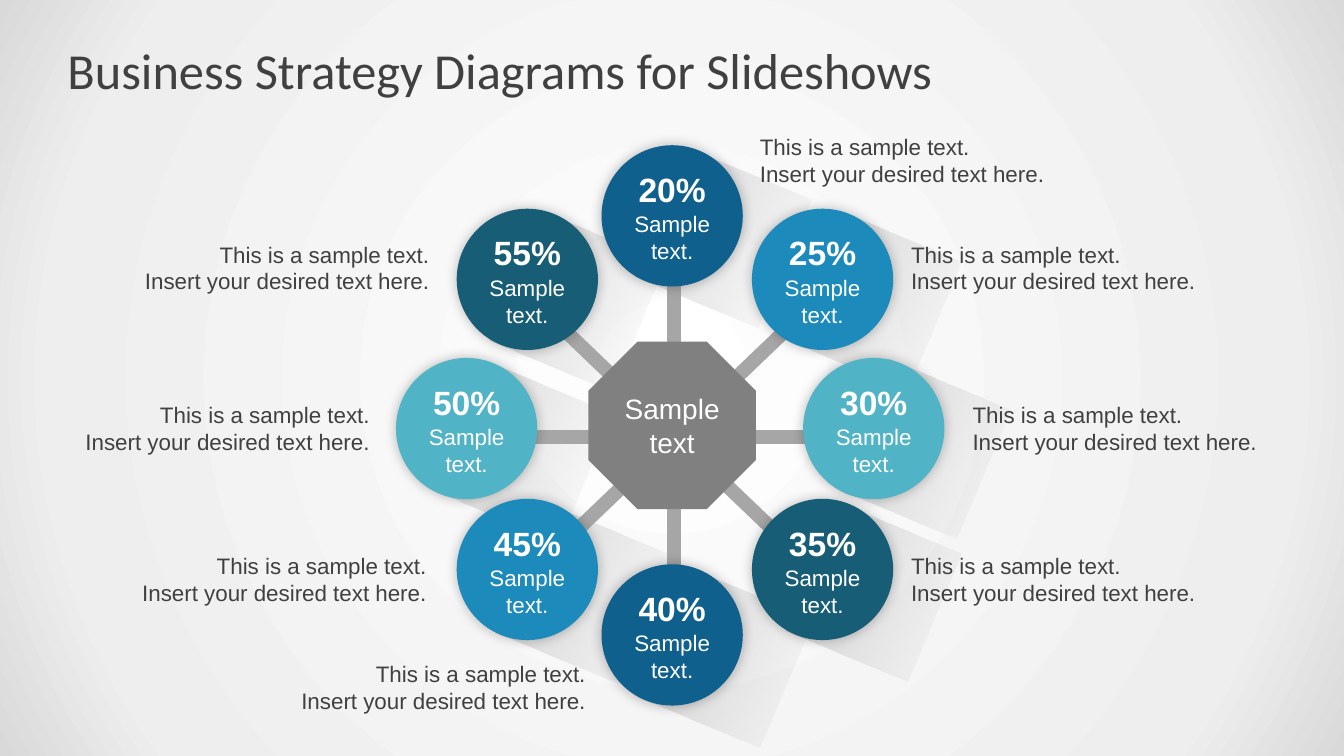
from dataclasses import dataclass

from pptx import Presentation
from pptx.dml.color import RGBColor
from pptx.enum.shapes import MSO_CONNECTOR, MSO_SHAPE
from pptx.enum.text import MSO_ANCHOR, MSO_AUTO_SIZE, PP_ALIGN
from pptx.oxml import parse_xml
from pptx.oxml.ns import nsdecls
from pptx.util import Cm, Pt

CIRCLE_SIZE = 3.56
NAVY, BLUE, AQUA, TEAL = "0F608D", "1C8ABA", "51B3C6", "175D76"
WHITE, DARK, SPOKE_GREY, HUB_GREY = "FFFFFF", "404040", "A6A6A6", "808080"


@dataclass
class Segment:
    percent: str
    color: str
    circle: tuple
    shade: tuple
    caption: tuple
    align: PP_ALIGN = PP_ALIGN.LEFT


# Clockwise from the top; positions are (left, top) in centimetres
SEGMENTS = [
    Segment("20%", NAVY, (15.16, 3.66), (16.56, 4.24), (18.9, 3.23)),
    Segment("25%", BLUE, (18.95, 5.26), (20.35, 5.82), (22.71, 5.94)),
    Segment("30%", AQUA, (20.24, 9.02), (21.59, 9.55), (24.26, 9.98)),
    Segment("35%", TEAL, (18.95, 12.57), (20.35, 13.16), (22.71, 13.79)),
    Segment("40%", NAVY, (15.16, 14.22), (16.61, 14.83), (7.01, 16.51), PP_ALIGN.RIGHT),
    Segment("45%", BLUE, (11.51, 12.57), (13.06, 13.21), (3.0, 13.79), PP_ALIGN.RIGHT),
    Segment("50%", AQUA, (9.98, 9.02), (11.56, 9.65), (1.57, 9.98), PP_ALIGN.RIGHT),
    Segment("55%", TEAL, (11.51, 5.26), (12.88, 5.84), (3.07, 5.94), PP_ALIGN.RIGHT),
]

SPOKES = [
    (14.1, 8.2, 19.94, 13.79),
    (20.22, 7.92, 14.38, 13.51),
    (16.99, 6.43, 16.99, 15.06),
    (12.83, 11.0, 21.46, 11.0),
]


def rgb(value):
    return RGBColor.from_string(value)


def write_text(frame, text, size=16, color=DARK, font="Arial", bold=False,
               align=PP_ALIGN.LEFT, anchor=MSO_ANCHOR.TOP, fit=MSO_AUTO_SIZE.NONE):
    """Fill a text frame, one paragraph for each line."""
    frame.word_wrap = True
    frame.auto_size = fit
    frame.vertical_anchor = anchor
    frame.text = text
    for paragraph in frame.paragraphs:
        paragraph.alignment = align
        for run in paragraph.runs:
            run.font.name = font
            run.font.size = Pt(size)
            run.font.bold = bold
            run.font.color.rgb = rgb(color)


def set_gradient(properties, stops, shading):
    """Swap the solid fill for a gradient; stops are (position, colour, opacity)."""
    stop_list = "".join(
        f'<a:gs pos="{position * 1000}"><a:srgbClr val="{color}">'
        f'<a:alpha val="{opacity * 1000}"/></a:srgbClr></a:gs>'
        for position, color, opacity in stops)
    gradient = parse_xml(f'<a:gradFill {nsdecls("a")} rotWithShape="1">'
                         f'<a:gsLst>{stop_list}</a:gsLst>{shading}</a:gradFill>')
    solid = properties.xpath("./a:solidFill")[0]
    properties.replace(solid, gradient)


class Deck:
    """Holds the presentation, the current slide and the drawing style."""

    def __init__(self):
        self.presentation = Presentation()
        self.presentation.slide_width = Cm(33.87)
        self.presentation.slide_height = Cm(19.05)
        self.slide = self.presentation.slides.add_slide(self.presentation.slide_layouts[5])

    def background(self):
        self.slide.background.fill.solid()
        properties = self.slide.element.xpath("./p:cSld/p:bg/p:bgPr")[0]
        set_gradient(properties,
                     [(0, "FFFFFF", 100), (81, "EEEEEE", 100), (100, "D9D9D9", 100)],
                     '<a:path path="circle"><a:fillToRect l="50000" t="50000" '
                     'r="50000" b="50000"/></a:path>')

    def title(self, text):
        title = self.slide.shapes.title
        title.left, title.top, title.width, title.height = Cm(1.7), Cm(0.76), Cm(30.48), Cm(1.98)
        title.text_frame.margin_left = title.text_frame.margin_right = 0
        write_text(title.text_frame, text, size=36, font="Calibri", anchor=MSO_ANCHOR.MIDDLE)

    def shape(self, kind, left, top, width, height, color):
        shape = self.slide.shapes.add_shape(kind, Cm(left), Cm(top), Cm(width), Cm(height))
        shape.shadow.inherit = False
        shape.fill.solid()
        shape.fill.fore_color.rgb = rgb(color)
        shape.line.fill.background()
        return shape

    def shade(self, left, top):
        shape = self.shape(MSO_SHAPE.RECTANGLE, left, top, 3.33, 3.51, "000000")
        shape.rotation = 22.8
        set_gradient(shape.element.spPr, [(0, "000000", 0), (100, "000000", 16)],
                     '<a:lin ang="10800000" scaled="0"/>')

    def spoke(self, *ends):
        line = self.slide.shapes.add_connector(MSO_CONNECTOR.STRAIGHT, *map(Cm, ends))
        line.line.color.rgb = rgb(SPOKE_GREY)
        line.line.width = Pt(10)
        line.element.spPr.append(parse_xml(f'<a:effectLst {nsdecls("a")}/>'))

    def circle(self, left, top, color):
        shape = self.shape(MSO_SHAPE.OVAL, left, top, CIRCLE_SIZE, CIRCLE_SIZE, color)
        effects = shape.element.spPr.xpath("./a:effectLst")[0]
        effects.append(parse_xml(
            f'<a:outerShdw {nsdecls("a")} blurRad="{Pt(9)}" dist="0" dir="0" algn="ctr" '
            'rotWithShape="0"><a:srgbClr val="000000"><a:alpha val="28000"/></a:srgbClr>'
            '</a:outerShdw>'))

    def hub(self, text):
        shape = self.shape(MSO_SHAPE.OCTAGON, 14.83, 8.61, 4.22, 4.22, HUB_GREY)
        write_text(shape.text_frame, text, size=20, color=WHITE,
                   align=PP_ALIGN.CENTER, anchor=MSO_ANCHOR.MIDDLE)

    def text(self, left, top, width, height, text, **style):
        box = self.slide.shapes.add_textbox(Cm(left), Cm(top), Cm(width), Cm(height))
        write_text(box.text_frame, text, fit=MSO_AUTO_SIZE.SHAPE_TO_FIT_TEXT, **style)


def main():
    deck = Deck()
    deck.background()
    deck.title("Business Strategy Diagrams for Slideshows")

    # Long shades behind the wheel
    for segment in SEGMENTS:
        deck.shade(*segment.shade)

    # Wheel: spokes, circles and hub
    for spoke in SPOKES:
        deck.spoke(*spoke)
    for segment in SEGMENTS:
        deck.circle(*segment.circle, segment.color)
    deck.hub("Sample\ntext")

    # Circle labels and outer captions
    for segment in SEGMENTS:
        left, top = segment.circle
        label_style = {"color": WHITE, "align": PP_ALIGN.CENTER}
        deck.text(left + 0.41, top + 1.52, 2.74, 1.57, "Sample\ntext.", **label_style)
        deck.text(left + 0.41, top + 0.47, 2.74, 1.24, segment.percent,
                  size=24, bold=True, **label_style)
        deck.text(*segment.caption, 8, 1.63,
                  "This is a sample text.\nInsert your desired text here.", align=segment.align)

    deck.presentation.save("out.pptx")


if __name__ == "__main__":
    main()
